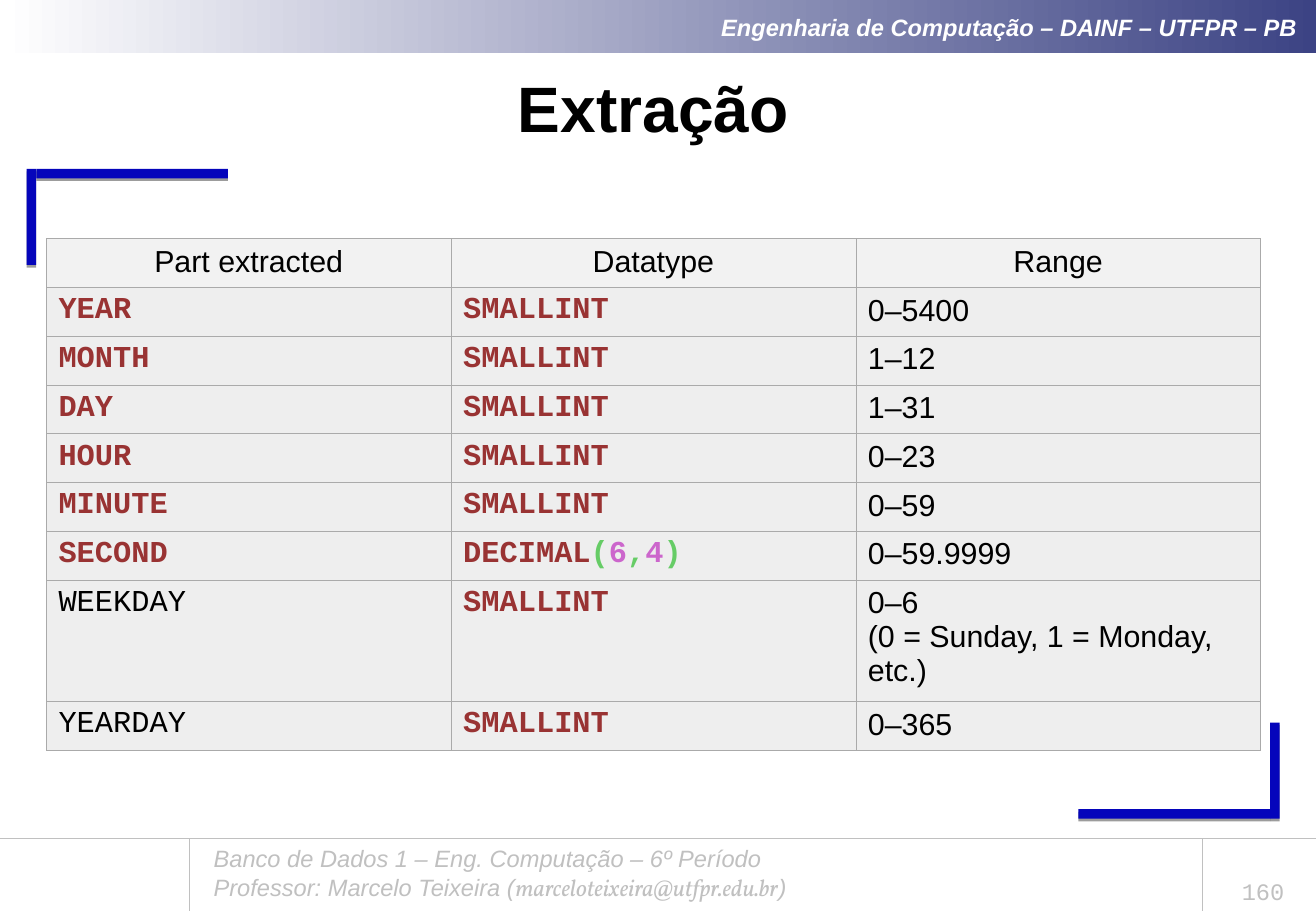
import pptx
import pptx.dml.color
import pptx.enum.shapes
import pptx.enum.text
import pptx.oxml
import pptx.oxml.ns
import pptx.util

Cm = pptx.util.Cm
Pt = pptx.util.Pt
RGBColor = pptx.dml.color.RGBColor
ALIGN = pptx.enum.text.PP_ALIGN
ANCHOR = pptx.enum.text.MSO_ANCHOR
RECT = pptx.enum.shapes.MSO_SHAPE.RECTANGLE
STRAIGHT = pptx.enum.shapes.MSO_CONNECTOR.STRAIGHT

WHITE = RGBColor(0xFF, 0xFF, 0xFF)
BLACK = RGBColor(0x00, 0x00, 0x00)
NAVY = RGBColor(0x3C, 0x43, 0x84)
BLUE = RGBColor(0x05, 0x05, 0xBB)
SILVER = RGBColor(0xC0, 0xC0, 0xC0)
HEAD_GREY = RGBColor(0xF2, 0xF2, 0xF2)
BODY_GREY = RGBColor(0xEE, 0xEE, 0xEE)
BORDER = RGBColor(0xAA, 0xAA, 0xAA)
RED = RGBColor(0x99, 0x33, 0x33)
GREEN = RGBColor(0x66, 0xCC, 0x66)
PURPLE = RGBColor(0xCC, 0x66, 0xCC)

HEADER = dict(name="Arial", size=Pt(14), bold=True, italic=True, color=WHITE)
TITLE = dict(name="Arial", size=Pt(38), bold=True, color=BLACK)
FOOTER = dict(name="Arial", size=Pt(14), italic=True, color=SILVER)
EMAIL = dict(FOOTER, name="Vollkorn")
NUMBER = dict(name="Courier New", size=Pt(14), color=SILVER)
PLAIN = dict(name="Arial", size=Pt(18), bold=False, color=BLACK)
CODE = dict(PLAIN, name="Courier New")
KEYWORD = dict(CODE, bold=True, color=RED)
BRACKET = dict(KEYWORD, color=GREEN)
DIGIT = dict(KEYWORD, color=PURPLE)

SMALLINT = [[("SMALLINT", KEYWORD)]]
DECIMAL = [[("DECIMAL", KEYWORD), ("(", BRACKET), ("6", DIGIT),
            (",", BRACKET), ("4", DIGIT), (")", BRACKET)]]
HEADINGS = ["Part extracted", "Datatype", "Range"]
PARTS = [
    ("YEAR", KEYWORD, SMALLINT, ["0–5400"]),
    ("MONTH", KEYWORD, SMALLINT, ["1–12"]),
    ("DAY", KEYWORD, SMALLINT, ["1–31"]),
    ("HOUR", KEYWORD, SMALLINT, ["0–23"]),
    ("MINUTE", KEYWORD, SMALLINT, ["0–59"]),
    ("SECOND", KEYWORD, DECIMAL, ["0–59.9999"]),
    ("WEEKDAY", CODE, SMALLINT, ["0–6", "(0 = Sunday, 1 = Monday, etc.)"]),
    ("YEARDAY", CODE, SMALLINT, ["0–365"]),
]


def write(tf, lines, align=ALIGN.LEFT):
    for i, line in enumerate(lines):
        p = tf.paragraphs[0] if i == 0 else tf.add_paragraph()
        p.alignment = align
        for text, fmt in line:
            r = p.add_run()
            r.text = text
            for key, value in fmt.items():
                if key == "color":
                    r.font.color.rgb = value
                else:
                    setattr(r.font, key, value)


def text_box(s, box, lines, align=ALIGN.LEFT, anchor=ANCHOR.TOP):
    tf = s.shapes.add_textbox(*map(Cm, box)).text_frame
    tf.word_wrap = True
    tf.vertical_anchor = anchor
    write(tf, lines, align)


def rectangle(s, box):
    sp = s.shapes.add_shape(RECT, *map(Cm, box))
    sp.shadow.inherit = False
    sp.line.fill.background()
    return sp


def rule(s, x1, y1, x2, y2, width):
    cxn = s.shapes.add_connector(STRAIGHT, *map(Cm, (x1, y1, x2, y2)))
    cxn.line.color.rgb = SILVER
    cxn.line.width = Pt(width)
    pptx.oxml.ns.qn("a:effectLst")
    cxn._element.spPr.append(pptx.oxml.parse_xml(
        f'<a:effectLst {pptx.oxml.ns.nsdecls("a")}/>'))


def header(s, box):
    sp = rectangle(s, box)
    sp.fill.gradient()
    sp.fill.gradient_angle = 0
    for stop, color in zip(sp.fill.gradient_stops, (WHITE, NAVY)):
        stop.color.rgb = color
    sp.text_frame.vertical_anchor = ANCHOR.MIDDLE
    write(sp.text_frame, [[("Engenharia de Computação – DAINF – UTFPR – PB ", HEADER)]],
          ALIGN.RIGHT)


def corner_brackets(s, box, thick=0.2, across=4.01, down=2.01):
    x, y, w, h = box
    right, bottom = x + w, y + h
    bars = [
        (right - thick - across, bottom - thick, across, thick),
        (right - thick, bottom - down, thick, down),
        (x + thick, y, across, thick),
        (x, y, thick, down),
    ]
    for bar in bars:
        sp = rectangle(s, bar)
        sp.fill.solid()
        sp.fill.fore_color.rgb = BLUE
        effects = sp._element.spPr.find(pptx.oxml.ns.qn("a:effectLst"))
        effects.append(pptx.oxml.parse_xml(
            f'<a:outerShdw {pptx.oxml.ns.nsdecls("a")} dist="{Pt(1.6)}" dir="5400000"'
            ' rotWithShape="0"><a:srgbClr val="000000"><a:alpha val="38000"/>'
            '</a:srgbClr></a:outerShdw>'))


def footer(s, box):
    x, y, w, h = box
    for line_x in (x + 3.96, x + 25.15):
        rule(s, line_x, y, line_x, y + h, 0.75)
    text_box(s, (x + 4.22, y, 19.15, 1.45), [
        [("Banco de Dados 1 – Eng. Computação – 6º Período", FOOTER)],
        [("Professor: Marcelo Teixeira (", FOOTER),
         ("marceloteixeira@utfpr.edu.br", EMAIL), (")", FOOTER)],
    ])
    rule(s, x, y, x + w, y, 0.25)
    text_box(s, (x + 25.32, y + h - 0.99, 2.21, 0.99), [[("160", NUMBER)]],
             ALIGN.CENTER, ANCHOR.BOTTOM)


def style_cell(cell, fill):
    tcPr = cell._tc.get_or_add_tcPr()
    for side in "LRTB":
        tcPr.append(pptx.oxml.parse_xml(
            f'<a:ln{side} {pptx.oxml.ns.nsdecls("a")} w="{Pt(0.34)}"><a:solidFill>'
            f'<a:srgbClr val="{BORDER}"/></a:solidFill></a:ln{side}>'))
    cell.fill.solid()
    cell.fill.fore_color.rgb = fill


def extraction_table(s, box, row_height=1.02, tall_row_height=2.54):
    rows = [[[[(heading, PLAIN)]] for heading in HEADINGS]]
    for part, fmt, datatype, ranges in PARTS:
        rows.append([[[(part, fmt)]], datatype, [[(text, PLAIN)] for text in ranges]])
    table = s.shapes.add_table(len(rows), len(HEADINGS), *map(Cm, box)).table
    for col in table.columns:
        col.width = Cm(box[2] / len(HEADINGS))
    for i, row in enumerate(rows):
        tall = any(len(lines) > 1 for lines in row)
        table.rows[i].height = Cm(tall_row_height if tall else row_height)
        for j, lines in enumerate(row):
            cell = table.cell(i, j)
            style_cell(cell, BODY_GREY if i else HEAD_GREY)
            write(cell.text_frame, lines, ALIGN.LEFT if i else ALIGN.CENTER)


def main():
    prs = pptx.Presentation()
    prs.slide_width, prs.slide_height = Cm(27.53), Cm(19.05)
    s = prs.slides.add_slide(prs.slide_layouts[6])
    header(s, (0.04, 0, 27.49, 1.12))
    corner_brackets(s, (0.56, 3.53, 26.21, 13.59))
    footer(s, (0, 17.53, 27.53, 1.52))
    text_box(s, (0.56, 1.37, 26.21, 1.75), [[("Extração", TITLE)]],
             ALIGN.CENTER, ANCHOR.MIDDLE)
    extraction_table(s, (0.97, 4.99, 25.4, 10.7))
    prs.save("out.pptx")


if __name__ == "__main__":
    main()
